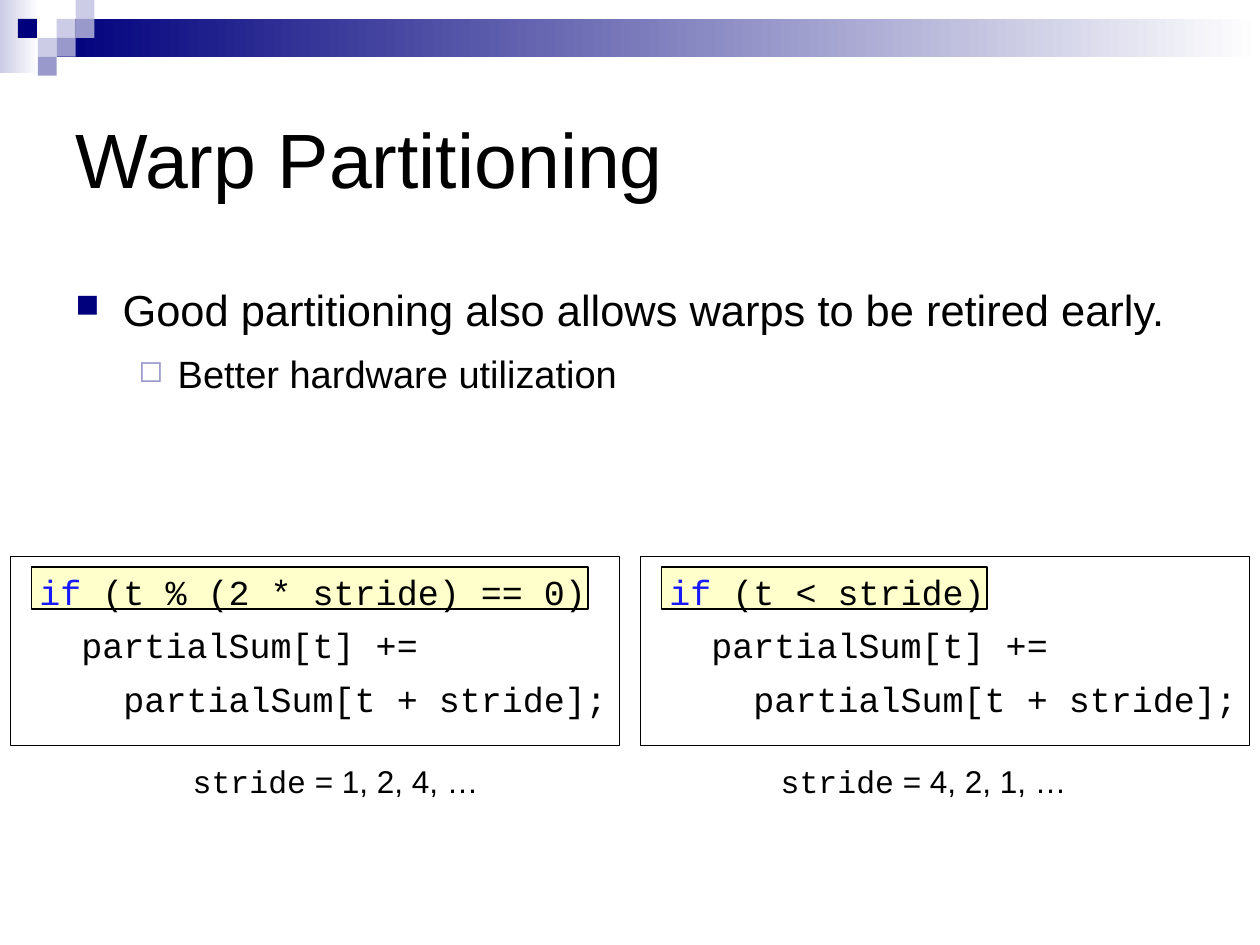
from pptx import Presentation
from pptx.dml.color import RGBColor
from pptx.enum.shapes import MSO_SHAPE as SHAPE
from pptx.enum.text import MSO_ANCHOR as ANCHOR, PP_ALIGN as ALIGN
from pptx.oxml.ns import qn
from pptx.util import Pt
from lxml.etree import SubElement

SANS, MONO = "Arial", "Courier New"
BLACK, NAVY, MID, PALE, WHITE = "000000", "00007D", "9999CC", "CCCCE6", "FFFFFF"
KEYWORD, YELLOW = "1818FF", "FFFF99"


def rgb(value):
    """Turn a hex string into a colour."""
    return RGBColor.from_string(value)


class Deck:
    """Hold the style and the current slide, and draw each kind of element."""

    def __init__(self, width, height):
        """Start a presentation of the given size with one blank slide."""
        self.prs = Presentation()
        self.prs.slide_width, self.prs.slide_height = Pt(width), Pt(height)
        self.s = self.prs.slides.add_slide(self.prs.slide_layouts[6])

    def rect(self, box, fill=None, line=None, fade=None, alpha=None):
        """Draw a rectangle with a solid, fading, translucent or empty fill."""
        sp = self.s.shapes.add_shape(SHAPE.RECTANGLE, *map(Pt, box))
        sp.shadow.inherit = False
        if fade:
            sp.fill.gradient()
            sp.fill.gradient_angle = 0
            for stop, color in zip(sp.fill.gradient_stops, (fill, fade)):
                stop.color.rgb = rgb(color)
        elif fill:
            sp.fill.solid()
            sp.fill.fore_color.rgb = rgb(fill)
        else:
            sp.fill.background()
        if alpha:
            color = sp._element.spPr.find(qn("a:solidFill"))[0]
            SubElement(color, qn("a:alpha"), val=str(alpha * 1000))
        if line:
            sp.line.color.rgb = rgb(line)
            sp.line.width = Pt(0.75)
        else:
            sp.line.fill.background()
        return sp

    def textbox(self, box, paragraphs, **frame):
        """Add a text box holding the given paragraphs."""
        sp = self.s.shapes.add_textbox(*map(Pt, box))
        self.add_text(sp, paragraphs, **frame)

    def add_text(self, sp, paragraphs, **frame):
        """Fill a shape with paragraphs, each a list of runs and a format."""
        tf = sp.text_frame
        settings = {"word_wrap": True, "vertical_anchor": ANCHOR.TOP, **frame}
        for name, value in settings.items():
            setattr(tf, name, value)
        for i, (runs, fmt) in enumerate(paragraphs):
            p = tf.paragraphs[0] if i == 0 else tf.add_paragraph()
            p.alignment = ALIGN.LEFT
            p.space_before = Pt(fmt.get("before", 0) if i else 0)
            p.level = fmt.get("level", 0)
            self.indent(p, **fmt.get("indent", {}))
            for text, size, name, color in runs:
                r = p.add_run()
                r.text = text
                for key, value in {"size": Pt(size), "name": name}.items():
                    setattr(r.font, key, value)
                r.font.color.rgb = rgb(color)

    def indent(self, p, left=0, hang=0, bullet=None, color=BLACK, percent=100):
        """Set the margins and the bullet of a paragraph."""
        pPr = p._p.get_or_add_pPr()
        pPr.set("marL", str(Pt(left)))
        pPr.set("indent", str(-Pt(hang)))
        if bullet:
            clr = SubElement(pPr, qn("a:buClr"))
            SubElement(clr, qn("a:srgbClr"), val=color)
            SubElement(pPr, qn("a:buSzPct"), val=str(percent * 1000))
            SubElement(pPr, qn("a:buChar"), char=bullet)

    def header(self):
        """Draw the fading band and the squares at the top of the slide."""
        self.rect((0, 0, 22.5, 42), PALE, fade=WHITE)
        self.rect((32.4, 10.8, 687.6, 21.6), NAVY, fade=WHITE)
        unit = 10.8
        squares = [(3, 1, PALE), (4, 0, PALE), (4, 1, MID), (2, 2, PALE),
                   (0.95, 1, NAVY), (3, 2, MID), (2, 3, MID)]
        for col, row, color in squares:
            self.rect((col * unit, row * unit, unit, unit), color)

    def code(self, left, condition, marked_width):
        """Draw a framed code sample with its condition highlighted."""
        self.rect((left + 12, 324, marked_width, 24), YELLOW, BLACK, alpha=50)
        sp = self.rect((left, 318, 348, 108), line=BLACK)
        lines = [[("if", 20, MONO, KEYWORD), (condition, 20, MONO, BLACK)],
                 [("  partialSum[t] +=", 20, MONO, BLACK)],
                 [("    partialSum[t + stride];", 20, MONO, BLACK)]]
        fmt = {"before": 6.5, "indent": {"left": 9.4}}
        self.add_text(sp, [(runs, fmt) for runs in lines],
                      margin_top=Pt(8), margin_right=0)

    def caption(self, left, values):
        """Show the stride values below a code sample."""
        runs = [("stride", 18, MONO, BLACK), (f" = {values}", 18, SANS, BLACK)]
        self.textbox((left, 432, 178, 29), [(runs, {})], word_wrap=False)


def main():
    """Build and save the slide."""
    deck = Deck(720, 540)
    deck.header()
    deck.textbox((36, 36, 648, 108),
                 [([("Warp Partitioning", 44, SANS, BLACK)], {})],
                 vertical_anchor=ANCHOR.MIDDLE)
    point = "Good partitioning also allows warps to be retired early."
    first = {"left": 27, "hang": 27, "bullet": "■", "color": NAVY, "percent": 75}
    second = {"left": 58.5, "hang": 22.5, "bullet": "◻", "color": MID, "percent": 80}
    deck.textbox((36, 156, 648, 84), [
        ([(point, 24.8, SANS, BLACK)], {"indent": first}),
        ([("Better hardware utilization", 21.7, SANS, BLACK)],
         {"level": 1, "before": 8.5, "indent": second}),
    ], margin_top=Pt(6))
    samples = [(6, " (t % (2 * stride) == 0)", 318, 103, "1, 2, 4, …"),
               (366, " (t < stride)", 186, 439, "4, 2, 1, …")]
    for left, condition, marked_width, caption_left, values in samples:
        deck.code(left, condition, marked_width)
        deck.caption(caption_left, values)
    deck.prs.save("out.pptx")


if __name__ == "__main__":
    main()
